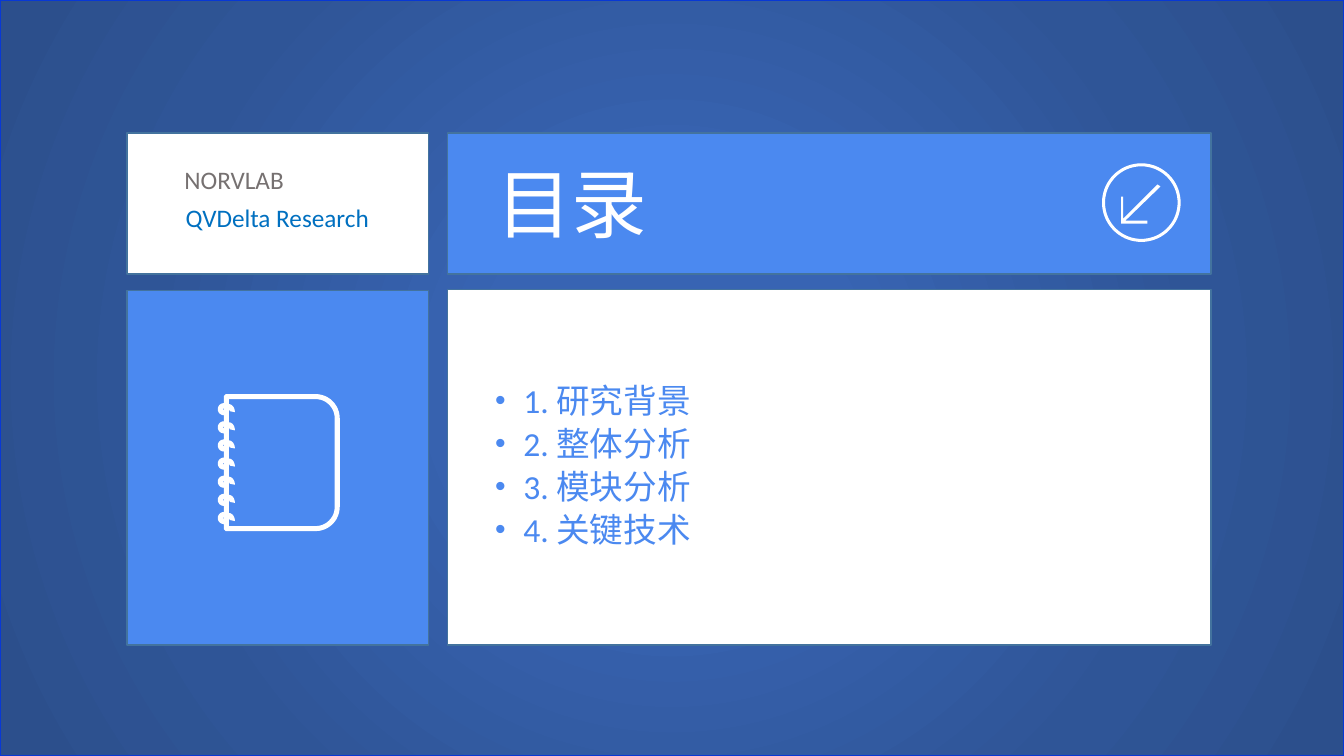
from dataclasses import dataclass
from math import cos, radians, sin

from lxml import etree
from pptx import Presentation
from pptx.dml.color import RGBColor
from pptx.enum.shapes import MSO_SHAPE
from pptx.enum.text import MSO_ANCHOR, MSO_AUTO_SIZE, PP_ALIGN
from pptx.oxml import parse_xml
from pptx.oxml.ns import nsdecls, qn
from pptx.util import Inches, Pt

RECTANGLE = MSO_SHAPE.RECTANGLE
TOP = MSO_ANCHOR.TOP
GROW = MSO_AUTO_SIZE.SHAPE_TO_FIT_TEXT
LEFT, CENTER = PP_ALIGN.LEFT, PP_ALIGN.CENTER
FONT = "Calibri"
WHITE, BLUE, BORDER = "FFFFFF", "4B89F0", "43739E"
Point = tuple[float, float]


@dataclass
class Box:
    left: float
    top: float
    width: float
    height: float


@dataclass
class Panel:
    box: Box
    fill: str


@dataclass
class Label:
    text: str
    box: Box
    color: str
    align: PP_ALIGN


def rgb(color: str) -> RGBColor:
    return RGBColor.from_string(color)


def place(shape, box: Box) -> None:
    shape.left, shape.top = Inches(box.left), Inches(box.top)
    shape.width, shape.height = Inches(box.width), Inches(box.height)


def add_panel(shapes, panel: Panel, border: str = BORDER):
    shape = shapes.add_shape(RECTANGLE, 0, 0, 0, 0)
    place(shape, panel.box)
    shape.shadow.inherit = False
    shape.fill.solid()
    shape.fill.fore_color.rgb = rgb(panel.fill)
    shape.line.color.rgb = rgb(border)
    shape.line.width = Pt(1)
    return shape


def fill_radial(shape, stops: list[tuple[int, str]]) -> None:
    stop_xml = "".join(
        f'<a:gs pos="{percent * 1000}"><a:srgbClr val="{color}"/></a:gs>'
        for percent, color in stops
    )
    gradient = parse_xml(
        f'<a:gradFill {nsdecls("a")} rotWithShape="1"><a:gsLst>{stop_xml}</a:gsLst>'
        '<a:path path="circle"><a:fillToRect l="50000" t="50000" r="50000" b="50000"/>'
        "</a:path></a:gradFill>"
    )
    properties = shape.element.spPr
    properties.replace(properties.find(qn("a:solidFill")), gradient)


def style(paragraph, size: int, color: str, align: PP_ALIGN = LEFT) -> None:
    paragraph.alignment = align
    paragraph.font.name = FONT
    paragraph.font.size = Pt(size)
    paragraph.font.color.rgb = rgb(color)


def prepare_frame(shape, text: str):
    frame = shape.text_frame
    frame.text = text
    frame.word_wrap = True
    frame.auto_size = GROW
    frame.vertical_anchor = TOP
    return frame


def add_label(shapes, label: Label) -> None:
    shape = shapes.add_textbox(0, 0, 0, 0)
    place(shape, label.box)
    frame = prepare_frame(shape, label.text)
    style(frame.paragraphs[0], 18, label.color, label.align)


def add_bullet(paragraph) -> None:
    properties = paragraph._p.get_or_add_pPr()
    properties.set("marL", str(Inches(0.28)))
    properties.set("indent", str(Inches(-0.28)))
    etree.SubElement(properties, qn("a:buSzPct")).set("val", "90000")
    etree.SubElement(properties, qn("a:buFont")).set("typeface", "Arial")
    etree.SubElement(properties, qn("a:buChar")).set("char", "•")


def arc(x: float, y: float, rx: float, ry: float,
        start: int, end: int, steps: int = 12) -> list[Point]:
    angles = [radians(start + (end - start) * i / steps) for i in range(steps + 1)]
    return [(x + rx * cos(a), y + ry * sin(a)) for a in angles]


def add_icon(shapes, contours: list[list[Point]]) -> None:
    outlines = [[(Inches(x), Inches(y)) for x, y in contour] for contour in contours]
    builder = shapes.build_freeform(*outlines[0][0])
    for outline in outlines:
        builder.move_to(*outline[0])
        builder.add_line_segments(outline[1:], close=True)
    icon = builder.convert_to_shape()
    icon.shadow.inherit = False
    icon.fill.solid()
    icon.fill.fore_color.rgb = rgb(WHITE)
    icon.line.fill.background()


def notebook_contours() -> list[list[Point]]:
    rings = [4.06 + 0.18 * i for i in range(7)]
    cover = [(2.24, 3.91), (2.22, 3.93)]
    for y in rings:
        cover += arc(2.22, y, 0.06, 0.06, 270, 90)
    cover += [(2.22, 5.25), (2.24, 5.27)]
    cover += arc(3.13, 5.03, 0.24, 0.24, 90, 0) + arc(3.13, 4.15, 0.24, 0.24, 0, -90)
    page = arc(3.13, 5.03, 0.19, 0.19, 0, 90) + [(2.27, 5.22)]
    for y in reversed(rings):
        page += [(2.27, y), (2.28, y + 0.02)] + arc(2.27, y + 0.03, 0.06, 0.08, 0, -90)
    page += [(2.27, 3.96)] + arc(3.13, 4.15, 0.19, 0.19, -90, 0)
    holes = [[(2.21, y), (2.22, y - 0.01), (2.22, y + 0.01)] for y in rings]
    return [cover, page, *holes]


def arrow_contours() -> list[list[Point]]:
    circles = [arc(11.32, 2.01, r, r, 0, 360, 72) for r in (0.39, 0.36)]
    arrow = [(11.38, 2.19), (11.38, 2.22), (11.12, 2.22), (11.12, 1.95), (11.14, 1.95),
             (11.14, 2.17), (11.48, 1.83), (11.51, 1.85), (11.16, 2.19)]
    return [*circles, arrow]


PANELS = [
    Panel(Box(4.44, 1.32, 7.57, 1.4), BLUE),
    Panel(Box(4.44, 2.87, 7.57, 3.53), WHITE),
    Panel(Box(1.26, 1.32, 2.99, 1.4), WHITE),
    Panel(Box(1.26, 2.88, 2.99, 3.52), BLUE),
]
LABELS = [
    Label("QVDelta Research", Box(1.57, 1.96, 2.36, 0.4), "0070C0", CENTER),
    Label("NORVLAB", Box(1.73, 1.58, 2.25, 0.4), "767171", LEFT),
]
TOPICS = ["1. 研究背景", "2. 整体分析", "3. 模块分析", "4. 关键技术"]
BACKDROP_STOPS = [(0, "3864B3"), (23, "3864B3"), (69, "2F5597"), (97, "2C4F8C")]

deck = Presentation()
deck.slide_width, deck.slide_height = Inches(13.33), Inches(7.5)
slide = deck.slides.add_slide(deck.slide_layouts[1])
shapes = slide.shapes
heading, agenda = shapes.title, slide.placeholders[1]

backdrop = add_panel(shapes, Panel(Box(0, 0, 13.33, 7.5), "3864B3"), "0838D5")
fill_radial(backdrop, BACKDROP_STOPS)
for panel in PANELS:
    add_panel(shapes, panel)
add_icon(shapes, arrow_contours())
add_icon(shapes, notebook_contours())
for label in LABELS:
    add_label(shapes, label)

place(heading, Box(4.82, 1.51, 3.78, 1.01))
style(prepare_frame(heading, "目录").paragraphs[0], 54, WHITE)

place(agenda, Box(4.84, 3.74, 6.8, 1.85))
topics = prepare_frame(agenda, "\n".join(TOPICS))
topics.margin_left = topics.margin_right = Inches(0.07)
topics.margin_top = topics.margin_bottom = Inches(0.07)
for topic in topics.paragraphs:
    topic.line_spacing = 0.9
    topic.space_before = Pt(4.8)
    add_bullet(topic)
    style(topic, 24, BLUE)

for placeholder in (heading, agenda):
    shapes._spTree.append(placeholder.element)

deck.save("out.pptx")
